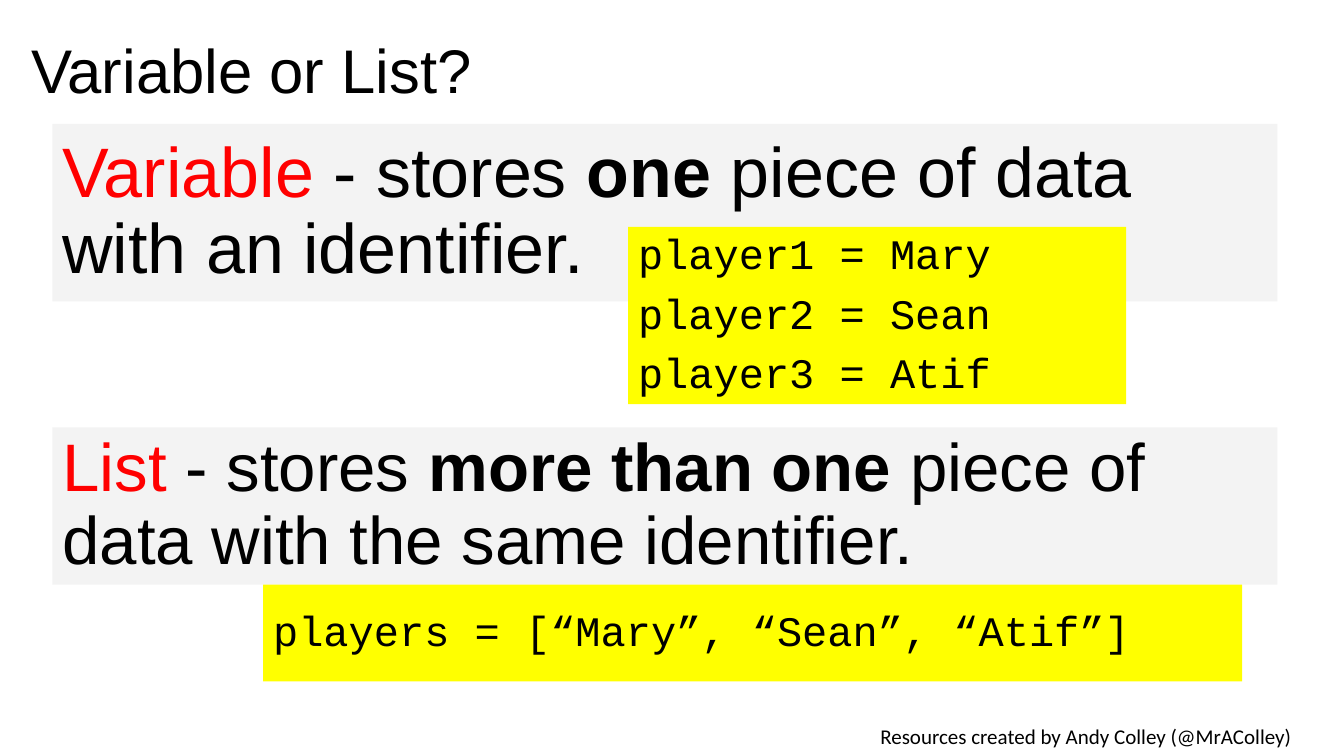
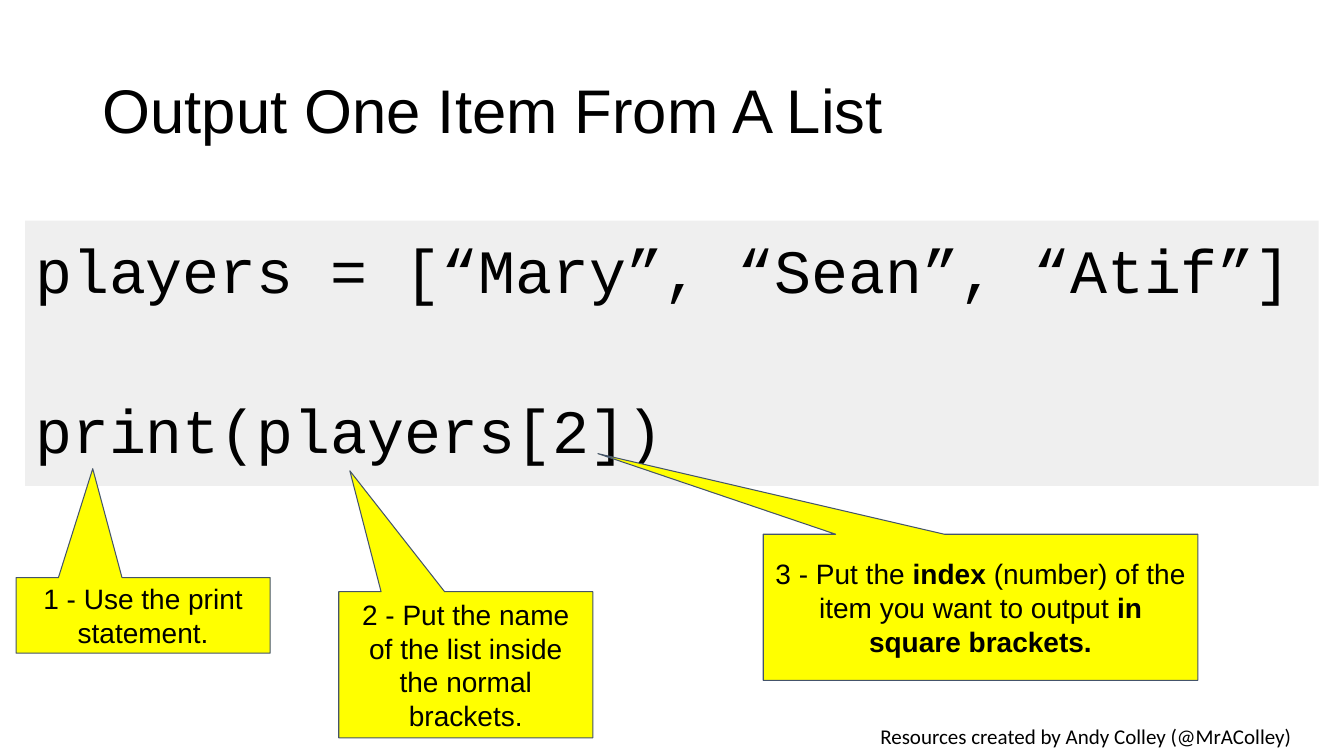
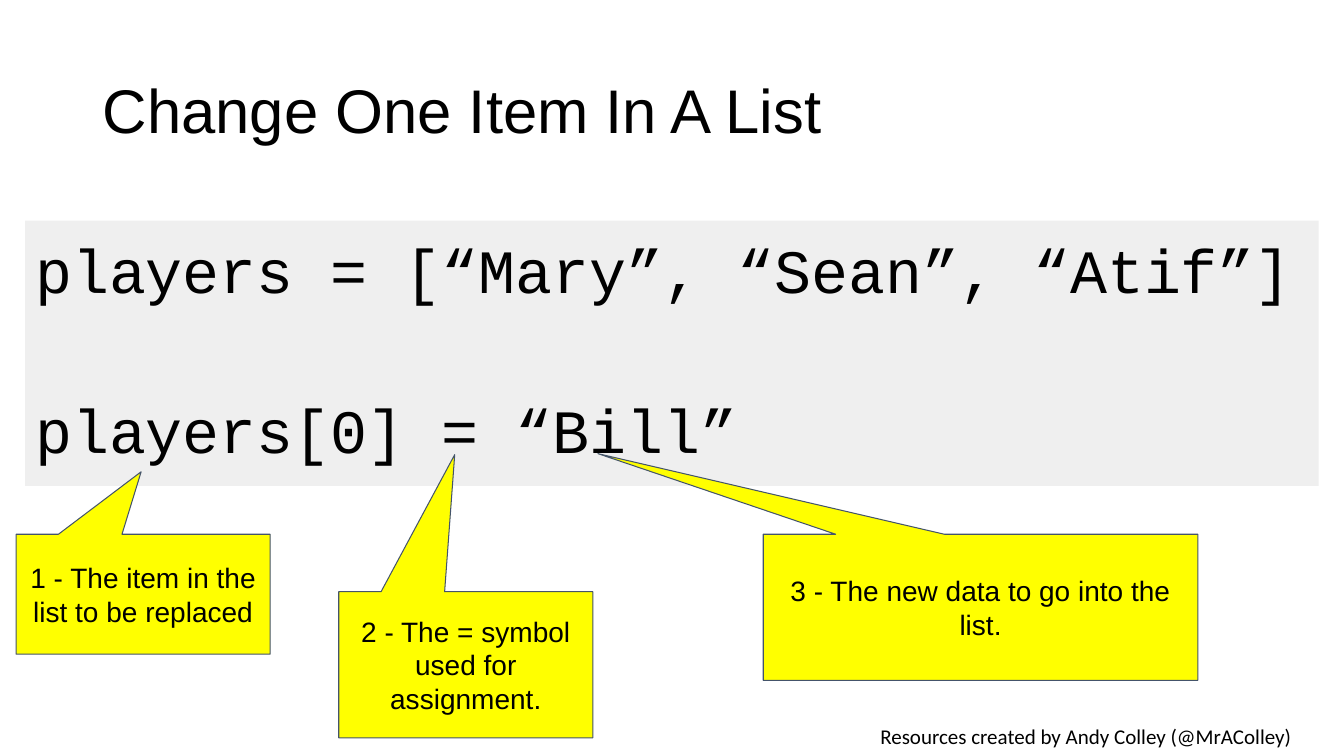
from dataclasses import dataclass
from typing import NamedTuple

import pptx
import pptx.dml.color
import pptx.enum.shapes
import pptx.enum.text
import pptx.presentation
import pptx.shapes.autoshape
import pptx.slide
import pptx.util

EMU_PER_PX = 9144  # 100 px to the inch


@dataclass(frozen=True)
class Theme:
    black: str = "000000"
    red: str = "FF0000"
    yellow: str = "FFFF00"
    definition_grey: str = "F3F3F3"
    code_grey: str = "EFEFEF"
    outline: str = "44546A"
    sans: str = "Arial"
    mono: str = "Courier New"
    footer_font: str = "Calibri"
    title_size: int = 44
    code_size: int = 44
    example_size: int = 30
    callout_size: int = 20
    footer_size: int = 15
    line_spacing: float = 0.9
    paragraph_gap: int = 10
    blank_line_gap: int = 67


THEME = Theme()


class Box(NamedTuple):
    left: int
    top: int
    width: int
    height: int


class Span(NamedTuple):
    text: str
    bold: bool = False
    color: str = THEME.black


Line = tuple[Span, ...]


@dataclass(frozen=True)
class TextStyle:
    font: str
    size: int
    centred: bool = False
    line_spacing: float = 1.0
    gap: int = 0
    inset: int = 5


@dataclass(frozen=True)
class Panel:
    box: Box
    fill: str
    style: TextStyle
    lines: tuple[Line, ...]


@dataclass(frozen=True)
class Callout:
    box: Box
    tip: tuple[int, int]
    spans: Line


@dataclass(frozen=True)
class Page:
    title: str
    title_box: Box
    panels: tuple[Panel, ...]
    callouts: tuple[Callout, ...] = ()


def body_style(font: str, size: int, gap: int = THEME.paragraph_gap) -> TextStyle:
    return TextStyle(font, size, line_spacing=THEME.line_spacing, gap=gap)


TITLE_STYLE = body_style(THEME.sans, THEME.title_size, gap=0)
EXAMPLE_STYLE = body_style(THEME.mono, THEME.example_size)
CODE_STYLE = body_style(THEME.mono, THEME.code_size, gap=THEME.blank_line_gap)
CALLOUT_STYLE = TextStyle(THEME.sans, THEME.callout_size, centred=True, inset=10)
FOOTER_STYLE = TextStyle(THEME.footer_font, THEME.footer_size, centred=True, inset=10)

FOOTER_TEXT = "Resources created by Andy Colley (@MrAColley)"
FOOTER_BOX = Box(821, 710, 512, 40)
TITLE_BOX = Box(92, 40, 1150, 145)
CODE_BOX = Box(25, 219, 1283, 263)
NAME_CALLOUT_BOX = Box(336, 587, 252, 145)
VALUE_CALLOUT_BOX = Box(757, 530, 431, 145)
VALUE_TIP = (593, 450)
PLAYERS_LIST = "players = [“Mary”, “Sean”, “Atif”]"


def plain_lines(*texts: str) -> tuple[Line, ...]:
    return tuple((Span(text),) for text in texts)


def definition(top: int, height: int, size: int, *spans: Span) -> Panel:
    return Panel(Box(52, top, 1215, height), THEME.definition_grey,
                 body_style(THEME.sans, size), (spans,))


def example(box: Box, *texts: str) -> Panel:
    return Panel(box, THEME.yellow, EXAMPLE_STYLE, plain_lines(*texts))


def code_panel(statement: str) -> Panel:
    return Panel(CODE_BOX, THEME.code_grey, CODE_STYLE,
                 plain_lines(PLAYERS_LIST, statement))


PAGES = (
    Page(
        "Variable or List?",
        Box(21, 0, 1150, 145),
        (
            definition(123, 176, 50, Span("Variable", color=THEME.red), Span(" - stores "),
                       Span("one", bold=True), Span(" piece of data with an identifier.")),
            definition(424, 156, 48, Span("List ", color=THEME.red), Span("- stores "),
                       Span("more than one", bold=True),
                       Span(" piece of data with the same identifier.")),
            example(Box(623, 225, 494, 176),
                    "player1 = Mary", "player2 = Sean", "player3 = Atif"),
            example(Box(261, 580, 971, 96), PLAYERS_LIST),
        ),
    ),
    Page(
        "Output One Item From A List",
        TITLE_BOX,
        (code_panel("print(players[2])"),),
        (
            Callout(Box(16, 573, 252, 75), (92, 465), (Span("1 - Use the print statement."),)),
            Callout(NAME_CALLOUT_BOX, (347, 467),
                    (Span("2 - Put the name of the list inside the normal brackets."),)),
            Callout(VALUE_CALLOUT_BOX, VALUE_TIP,
                    (Span("3 - Put the "), Span("index", bold=True),
                     Span(" (number) of the item you want to output "),
                     Span("in square brackets.", bold=True))),
        ),
    ),
    Page(
        "Change One Item In A List",
        TITLE_BOX,
        (code_panel("players[0] = “Bill”"),),
        (
            Callout(Box(16, 530, 252, 119), (140, 468),
                    (Span("1 - The item in the list to be replaced"),)),
            Callout(NAME_CALLOUT_BOX, (451, 451),
                    (Span("2 - The = symbol used for assignment."),)),
            Callout(VALUE_CALLOUT_BOX, VALUE_TIP,
                    (Span("3 - The new data to go into the list."),)),
        ),
    ),
)


def px(length: int) -> pptx.util.Emu:
    return pptx.util.Emu(length * EMU_PER_PX)


def rgb(color: str) -> pptx.dml.color.RGBColor:
    return pptx.dml.color.RGBColor.from_string(color)


def write_text(shape: pptx.shapes.autoshape.Shape, lines: tuple[Line, ...],
               style: TextStyle) -> None:
    frame = shape.text_frame
    frame.word_wrap = True
    frame.vertical_anchor = pptx.enum.text.MSO_ANCHOR.MIDDLE
    frame.margin_left = frame.margin_right = px(10)
    frame.margin_top = frame.margin_bottom = px(style.inset)
    alignment = pptx.enum.text.PP_ALIGN
    for index, line in enumerate(lines):
        paragraph = frame.add_paragraph() if index else frame.paragraphs[0]
        paragraph.alignment = alignment.CENTER if style.centred else alignment.LEFT
        paragraph.line_spacing = style.line_spacing
        # The gap separates paragraphs; the first keeps the normal one
        gap = style.gap if index else min(style.gap, THEME.paragraph_gap)
        paragraph.space_before = pptx.util.Pt(gap)
        for span in line:
            run = paragraph.add_run()
            run.text = span.text
            run.font.name = style.font
            run.font.size = pptx.util.Pt(style.size)
            run.font.bold = span.bold
            run.font.color.rgb = rgb(span.color)


def add_label(slide: pptx.slide.Slide, box: Box, text: str, style: TextStyle) -> None:
    write_text(slide.shapes.add_textbox(*map(px, box)), plain_lines(text), style)


def add_filled_shape(slide: pptx.slide.Slide, kind: pptx.enum.shapes.MSO_SHAPE,
                     box: Box, fill: str) -> pptx.shapes.autoshape.Shape:
    shape = slide.shapes.add_shape(kind, *map(px, box))
    shape.shadow.inherit = False
    shape.fill.solid()
    shape.fill.fore_color.rgb = rgb(fill)
    return shape


def add_panel(slide: pptx.slide.Slide, panel: Panel) -> None:
    shape = add_filled_shape(slide, pptx.enum.shapes.MSO_SHAPE.RECTANGLE,
                             panel.box, panel.fill)
    shape.line.fill.background()
    write_text(shape, panel.lines, panel.style)


def add_callout(slide: pptx.slide.Slide, callout: Callout) -> None:
    box = callout.box
    shape = add_filled_shape(slide, pptx.enum.shapes.MSO_SHAPE.ROUNDED_RECTANGULAR_CALLOUT,
                             box, THEME.yellow)
    shape.line.color.rgb = rgb(THEME.outline)
    shape.line.width = pptx.util.Pt(0.75)
    # The tip is measured from the centre of the box, in box widths and heights
    shape.adjustments[0] = (callout.tip[0] - box.left) / box.width - 0.5
    shape.adjustments[1] = (callout.tip[1] - box.top) / box.height - 0.5
    shape.adjustments[2] = 0
    write_text(shape, (callout.spans,), CALLOUT_STYLE)


def add_page(presentation: pptx.presentation.Presentation, page: Page) -> None:
    slide = presentation.slides.add_slide(presentation.slide_layouts[6])
    # Shared footer and title
    add_label(slide, FOOTER_BOX, FOOTER_TEXT, FOOTER_STYLE)
    add_label(slide, page.title_box, page.title, TITLE_STYLE)
    # Content
    for panel in page.panels:
        add_panel(slide, panel)
    for callout in page.callouts:
        add_callout(slide, callout)


def main() -> None:
    presentation = pptx.Presentation()
    presentation.slide_width = px(1333)
    presentation.slide_height = px(750)
    for page in PAGES:
        add_page(presentation, page)
    presentation.save("out.pptx")


if __name__ == "__main__":
    main()
